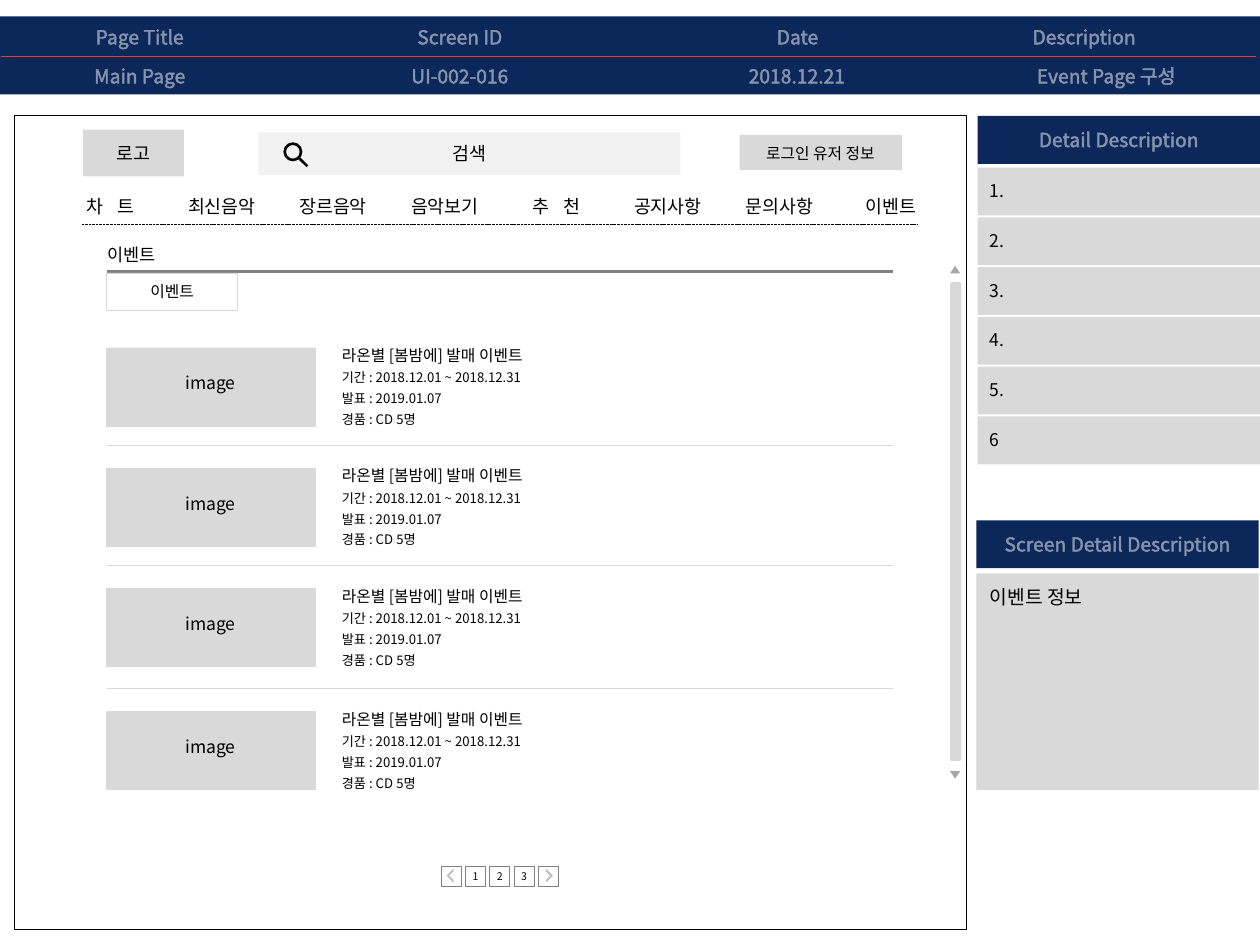
from lxml import etree
from pptx import Presentation, util as u
from pptx.dml.color import RGBColor
from pptx.enum import dml, shapes, text
from pptx.oxml.ns import qn

COLUMNS, ROWS = 100, 75
CELL = u.Inches(0.1)
FONT = "Noto Sans CJK KR"
NAVY, WHITE, BLACK = "0C2759", "FFFFFF", "000000"
PANEL, PALE, GREY, MIST = "D9D9D9", "F2F2F2", "808080", "BFBFBF"
KINDS = shapes.MSO_SHAPE
CENTER, LEFT = text.PP_ALIGN.CENTER, text.PP_ALIGN.LEFT


def color(value):
    return RGBColor.from_string(value)


def grid(*cells):
    return [round(cell * CELL) for cell in cells]


def add_alpha(fill, percent):
    etree.SubElement(fill, qn("a:alpha"), val=str(percent * 1000))


def add_outline(properties):
    line = etree.Element(qn("a:ln"), w=str(u.Pt(0.75)))
    solid = etree.SubElement(line, qn("a:solidFill"))
    add_alpha(etree.SubElement(solid, qn("a:srgbClr"), val=WHITE), 50)
    properties.insert(0, line)


def add_text(page, words, left, top, width, height, size=10, ink=BLACK,
             align=CENTER, wrap=True, spacing=0):
    box = page.shapes.add_textbox(*grid(left, top, width, height))
    frame = box.text_frame
    frame.word_wrap = wrap
    frame.auto_size = text.MSO_AUTO_SIZE.SHAPE_TO_FIT_TEXT
    para = frame.paragraphs[0]
    para.alignment = align
    span = para.add_run()
    span.text = words
    span.font.size = u.Pt(size)
    span.font.color.rgb = color(ink)
    span.font.name = FONT
    properties = span.font._element
    add_outline(properties)
    etree.SubElement(properties, qn("a:ea"), typeface=FONT)
    if spacing:
        properties.set("spc", str(round(spacing * 100)))


def add_block(page, left, top, width, height, fill=None, line=None,
              weight=0.25, kind=KINDS.RECTANGLE, turn=0, opacity=100):
    shape = page.shapes.add_shape(kind, *grid(left, top, width, height))
    shape.shadow.inherit = False
    shape.rotation = turn
    if fill:
        shape.fill.solid()
        shape.fill.fore_color.rgb = color(fill)
        if opacity < 100:
            add_alpha(shape.element.spPr.find(".//" + qn("a:srgbClr")), opacity)
    else:
        shape.fill.background()
    if line:
        shape.line.color.rgb = color(line)
        shape.line.width = u.Pt(weight)
    else:
        shape.line.fill.background()
    return shape


def add_line(page, left, top, right, bottom, ink, weight, dash=None):
    line = page.shapes.add_connector(
        shapes.MSO_CONNECTOR.STRAIGHT, *grid(left, top, right, bottom))
    line.line.color.rgb = color(ink)
    line.line.width = u.Pt(weight)
    if dash:
        line.line.dash_style = dash
    etree.SubElement(line._element.spPr, qn("a:effectLst"))


def add_header(page):
    add_block(page, 0, 1.3, COLUMNS, 6.2, NAVY)
    add_line(page, 0.1, 4.5, 99.7, 4.5, "F33A24", 0.75)
    fields = [
        ("Page Title", 11.1, "Main Page", 11.1),
        ("Screen ID", 36.5, "UI-002-016", 36.5),
        ("Date", 63.3, "2018.12.21", 63.25),
        ("Description", 86.05, "Event Page 구성", 87.8),
    ]
    for title, title_center, value, value_center in fields:
        for words, center, top in ((title, title_center, 1.5),
                                   (value, value_center, 4.6)):
            add_text(page, words, center - 11, top, 22, 2.9, 11, WHITE)


def add_sidebar(page):
    for title, left, top in (("Detail Description", 77.6, 9.2),
                             ("Screen Detail Description", 77.5, 41.3)):
        add_block(page, left, top, 22.4, 3.8, NAVY)
        add_text(page, title, left, top + 0.45, 22.4, 2.9, 11, WHITE)
    for index, label in enumerate(["1.", "2.", "3.", "4.", "5.", "6"]):
        top = 13.3 + 3.95 * index
        add_block(page, 77.6, top, 22.4, 3.8, PANEL)
        add_text(page, label, 77.55, top + 0.5, 14.8, 2.7, align=LEFT)
    add_block(page, 77.5, 45.5, 22.4, 17.2, PANEL)
    add_text(page, "이벤트 정보", 77.55, 45.95, 22.2, 2.9, 11, align=LEFT)


def add_top_bar(page):
    add_block(page, 6.6, 10.3, 8, 3.7, PANEL)
    add_text(page, "로고", 6.8, 10.8, 7.6, 2.9, 10.5)
    add_block(page, 20.5, 10.5, 33.5, 3.4, PALE)
    add_text(page, "검색", 29.85, 10.8, 14.8, 2.8, 10.5)
    add_block(page, 22.6, 11.4, 1.3, 1.3, line=BLACK, weight=1.5,
              kind=KINDS.OVAL)
    add_line(page, 23.7, 12.5, 24.4, 13.2, BLACK, 1.5)
    add_block(page, 58.7, 10.7, 12.9, 2.8, PANEL)
    add_text(page, "로그인 유저 정보", 59, 10.9, 12.2, 2.5, 9)


def add_menu(page):
    labels = ["차 트", "최신음악", "장르음악", "음악보기",
              "추 천", "공지사항", "문의사항", "이벤트"]
    for index, label in enumerate(labels):
        add_text(page, label, 1.35 + 8.85 * index, 15, 14.8, 2.8, 10.5,
                 spacing=2.8 if " " in label else 0)
    add_line(page, 6.5, 17.8, 72.8, 17.8, BLACK, 0.2,
             dml.MSO_LINE.SQUARE_DOT)


def add_scrollbar(page):
    add_block(page, 75.4, 22.4, 0.9, 38, PANEL, kind=KINDS.ROUNDED_RECTANGLE)
    for top, turn in ((21.1, 0), (61.2, 180)):
        add_block(page, 75.4, top, 0.8, 0.6, "A6A6A6",
                  kind=KINDS.ISOSCELES_TRIANGLE, turn=turn)


def add_tab(page):
    add_text(page, "이벤트", 7.55, 18.9, 9.2, 2.7, align=LEFT)
    add_line(page, 8.5, 21.55, 70.9, 21.55, GREY, 1.5)
    add_block(page, 8.45, 21.65, 10.4, 3, WHITE, PANEL, opacity=30)
    add_text(page, "이벤트", 8.6, 21.9, 10.1, 2.5, 9)


def add_event(page, top):
    add_block(page, 8.45, top, 16.6, 6.2, PANEL, PANEL)
    add_text(page, "image", 9.3, top + 1.45, 14.8, 2.7)
    add_text(page, "라온별 [봄밤에] 발매 이벤트", 26.15, top - 0.65, 23.9, 2.5,
             9, align=LEFT)
    details = ["기간 : 2018.12.01 ~ 2018.12.31", "발표 : 2019.01.07",
               "경품 : CD 5명"]
    for index, words in enumerate(details):
        add_text(page, words, 26.15, top + 1.25 + 1.66 * index, 22.3, 2.3,
                 7.5, align=LEFT)


def add_events(page):
    tops = [27.6, 37.15, 46.7, 56.45]
    for top in tops:
        add_event(page, top)
    for top in tops[1:]:
        add_line(page, 8.5, top - 1.8, 70.9, top - 1.8, PANEL, 0.25)


def add_pager(page):
    lefts = [35 + 1.93 * index for index in range(5)]
    for left in lefts:
        add_block(page, left, 68.75, 1.6, 1.6, WHITE, GREY)
    for number, left in enumerate(lefts[1:-1], 1):
        add_text(page, str(number), left + 0.25, 68.55, 1.1, 2, 6, wrap=False)
    for left, turn in ((lefts[0] + 0.6, 315), (lefts[-1] + 0.2, 135)):
        arrow = add_block(page, left, 69.1, 0.8, 0.8, MIST,
                          kind=KINDS.HALF_FRAME, turn=turn)
        arrow.adjustments[0], arrow.adjustments[1] = 0.19, 0.2


def main():
    deck = Presentation()
    deck.slide_width, deck.slide_height = grid(COLUMNS, ROWS)
    page = deck.slides.add_slide(deck.slide_layouts[6])
    add_header(page)
    add_sidebar(page)
    add_block(page, 1.15, 9.15, 75.6, 64.6, line=BLACK, weight=0.5)
    add_top_bar(page)
    add_menu(page)
    add_scrollbar(page)
    add_tab(page)
    add_events(page)
    add_pager(page)
    deck.save("out.pptx")


if __name__ == "__main__":
    main()
